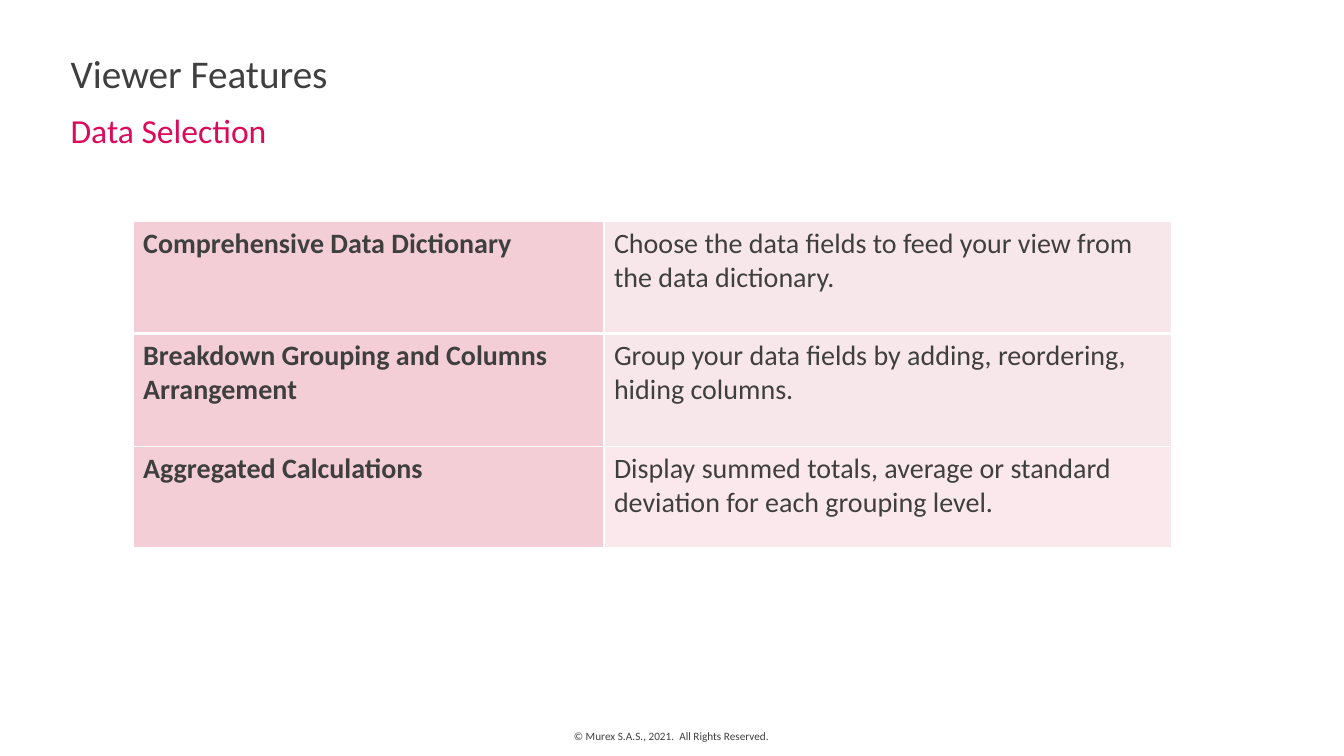
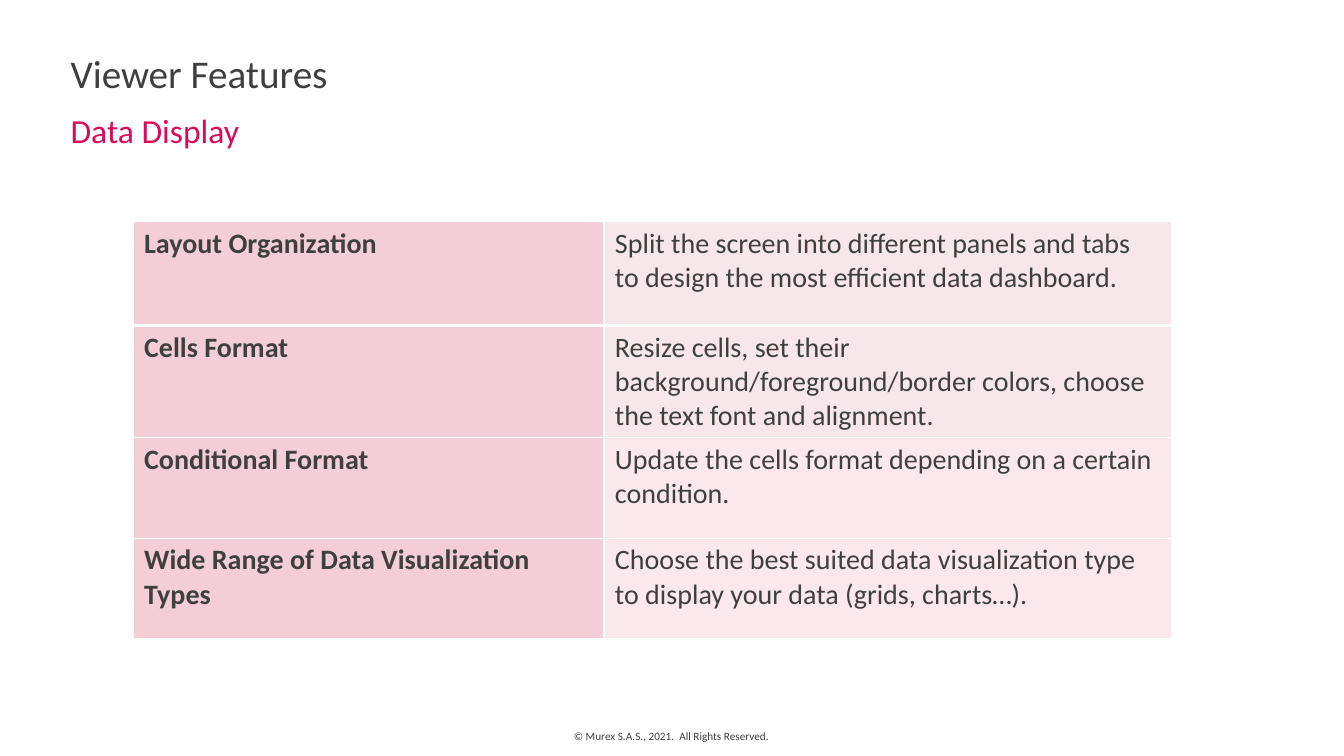
import pptx
import pptx.dml.color
import pptx.enum.text
import pptx.oxml
import pptx.oxml.ns
import pptx.util
from pptx.util import Inches

FONT = "Calibri"
DARK = "3F3F3F"
ACCENT = "DB0A5B"
WHITE = "FFFFFF"
FEATURE_FILL = "F4CED7"
DETAIL_FILL = "F8E7EA"
DETAIL_FILL_LIGHT = "FAE8EC"
COPYRIGHT = "© Murex S.A.S., 2021.  All Rights Reserved."

# Left, top, width, height in inches
TITLE_BOX = (0.7, 0.49, 10.92, 0.47)
SUBTITLE_BOX = (0.7, 1.01, 12.08, 0.94)
FOOTER_BOX = (5.65, 7.24, 2.02, 0.13)
TABLE_ORIGIN = (1.32, 2.2)
COLUMN_WIDTHS = (4.67, 5.63)

SLIDES = [
    {
        "subtitle": "Data Selection",
        "row_heights": (1.11, 1.12, 1),
        "side_margin": 0.1,
        "rows": [
            ("Comprehensive Data Dictionary",
             "Choose the data fields to feed your view from the data dictionary."),
            ("Breakdown Grouping and Columns Arrangement",
             "Group your data fields by adding, reordering, hiding columns."),
            ("Aggregated Calculations",
             "Display summed totals, average or standard deviation for each grouping level."),
        ],
    },
    {
        "subtitle": "Data Display",
        "row_heights": (1.03, 1.11, 1, 1),
        "side_margin": 0.11,
        "rows": [
            ("Layout Organization",
             "Split the screen into different panels and tabs to design the most "
             "efficient data dashboard."),
            ("Cells Format",
             "Resize cells, set their background/foreground/border colors, choose "
             "the text font and alignment."),
            ("Conditional Format",
             "Update the cells format depending on a certain condition."),
            ("Wide Range of Data Visualization Types",
             "Choose the best suited data visualization type to display your data "
             "(grids, charts…)."),
        ],
    },
]


def color(value):
    return pptx.dml.color.RGBColor.from_string(value)


def style(para, size, value, bold=False):
    para.font.name = FONT
    para.font.size = pptx.util.Pt(size)
    para.font.bold = bold
    para.font.color.rgb = color(value)


def add_text(page, box, text, size, value, wrap=True, side_margin=0):
    """Place one line of text and return its frame and paragraph."""
    frame = page.shapes.add_textbox(*map(Inches, box)).text_frame
    frame.word_wrap = wrap
    frame.margin_left = frame.margin_right = Inches(side_margin)
    frame.margin_top = frame.margin_bottom = 0
    para = frame.paragraphs[0]
    para.text = text
    style(para, size, value)
    return frame, para


def add_header(page, title, subtitle):
    frame, _ = add_text(page, TITLE_BOX, title, 28, DARK)
    frame.vertical_anchor = pptx.enum.text.MSO_ANCHOR.BOTTOM
    _, para = add_text(page, SUBTITLE_BOX, subtitle, 24, ACCENT)
    para.line_spacing = 1.2


def add_footer(page):
    _, para = add_text(page, FOOTER_BOX, COPYRIGHT, 8, DARK, wrap=False, side_margin=0.04)
    para.alignment = pptx.enum.text.PP_ALIGN.CENTER


def set_borders(cell, top, bottom):
    """Draw white cell borders; widths are in points."""
    properties = cell._tc.get_or_add_tcPr()
    for side, width in (("L", 1), ("R", 1), ("T", top), ("B", bottom)):
        properties.append(pptx.oxml.parse_xml(
            f'<a:ln{side} {pptx.oxml.ns.nsdecls("a")} w="{pptx.util.Pt(width)}">'
            f'<a:solidFill><a:srgbClr val="{WHITE}"/></a:solidFill></a:ln{side}>'))


def add_feature_table(page, origin, rows, row_heights, side_margin):
    size = (sum(COLUMN_WIDTHS), sum(row_heights))
    table = page.shapes.add_table(
        len(rows), len(COLUMN_WIDTHS), *map(Inches, origin + size)).table
    table.first_row = table.horz_banding = False
    for column, width in zip(table.columns, COLUMN_WIDTHS):
        column.width = Inches(width)

    for row_index, (texts, height) in enumerate(zip(rows, row_heights)):
        table.rows[row_index].height = Inches(height)
        detail_fill = DETAIL_FILL if row_index < 2 else DETAIL_FILL_LIGHT
        for column_index, (text, fill) in enumerate(zip(texts, (FEATURE_FILL, detail_fill))):
            cell = table.cell(row_index, column_index)
            cell.margin_left = cell.margin_right = Inches(side_margin)
            # A thick rule separates the first row from the rest
            set_borders(cell, top=3 if row_index == 1 else 1,
                        bottom=3 if row_index == 0 else 1)
            cell.fill.solid()
            cell.fill.fore_color.rgb = color(fill)
            para = cell.text_frame.paragraphs[0]
            para.text = text
            style(para, 20, DARK, bold=column_index == 0)


def add_feature_slide(deck, subtitle, rows, row_heights, side_margin):
    page = deck.slides.add_slide(deck.slide_layouts[6])
    add_footer(page)
    add_header(page, "Viewer Features", subtitle)
    add_feature_table(page, TABLE_ORIGIN, rows, row_heights, side_margin)


def main():
    deck = pptx.Presentation()
    deck.slide_width = Inches(13.33)
    deck.slide_height = Inches(7.5)
    for content in SLIDES:
        add_feature_slide(deck, **content)
    deck.save("out.pptx")


if __name__ == "__main__":
    main()
